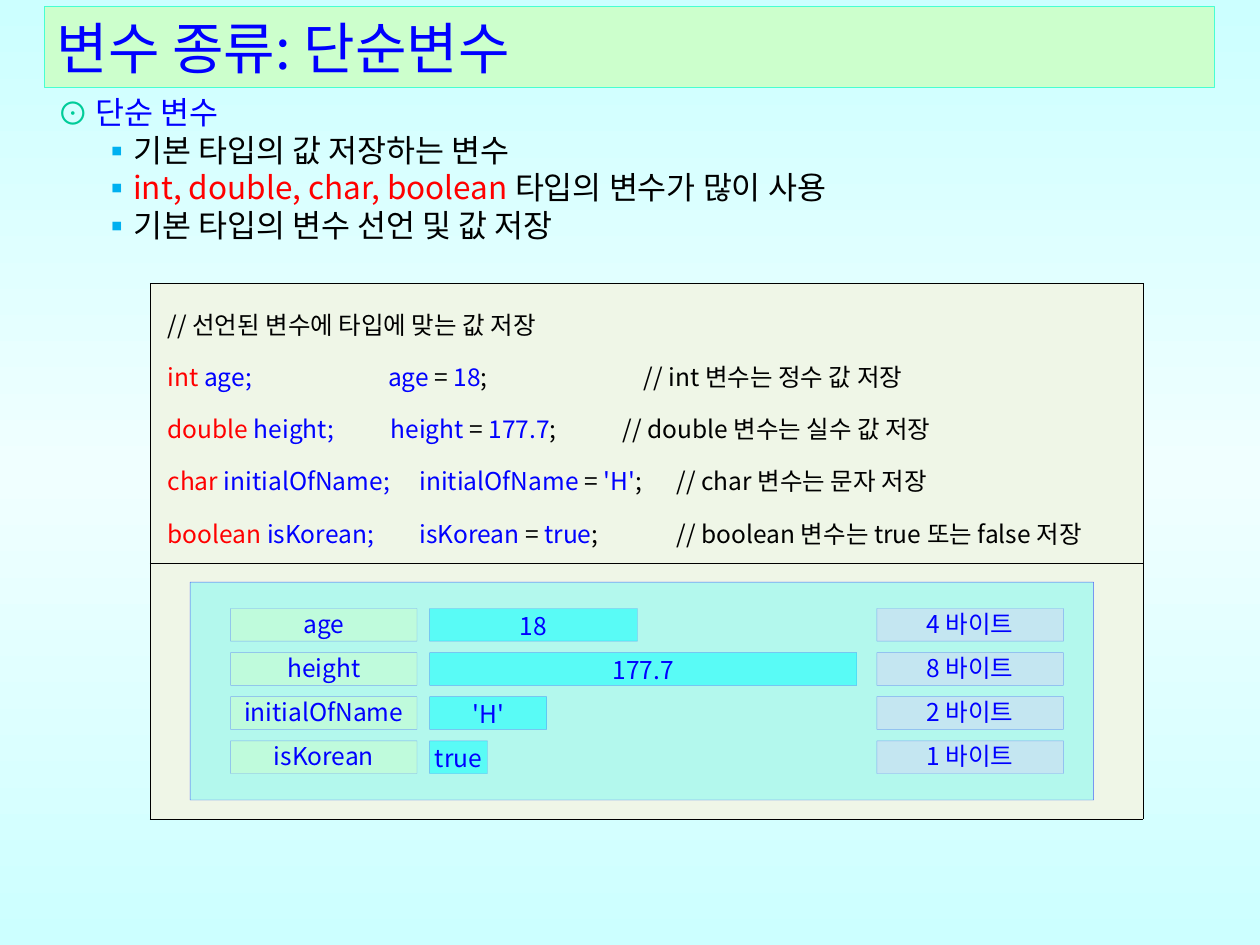
from copy import deepcopy
from dataclasses import dataclass

from lxml.etree import SubElement
from pptx import Presentation
from pptx.dml.color import RGBColor
from pptx.enum.shapes import MSO_SHAPE as Shape
from pptx.enum.text import MSO_ANCHOR as Anchor, PP_ALIGN as Align
from pptx.oxml.ns import qn
from pptx.util import Inches, Pt

FONT = "Noto Sans CJK KR"
COLORS = {
    "blue": "0000FF", "black": "000000", "red": "FF0000", "green": "00CC99",
    "sky": "00B0F0", "title": "CCFFCC", "title_line": "47FFD1", "cyan": "00FFFF",
    "lavender": "D6D6F5", "code": "EFF6E7", "edge": "CCFFFF", "middle": "F0FFFF",
}


@dataclass
class Bullet:
    char: str
    color: str
    indent: float
    hanging: float
    phrases: list


@dataclass
class Variable:
    kind: str
    name: str
    value: str
    comment: str
    tabs: tuple
    memory_width: float
    size: str


BULLETS = [
    Bullet("⊙", "green", 0.3, 0.3, [("단순 변수", "blue")]),
    Bullet("▪", "sky", 0.6, 0.25, [("기본 타입의 값 저장하는 변수", "black")]),
    Bullet("▪", "sky", 0.6, 0.25, [("int, double, char, boolean ", "red"),
                                   ("타입의 변수가 많이 사용", "black")]),
    Bullet("▪", "sky", 0.6, 0.25, [("기본 타입의 변수 선언 및 값 저장", "black")]),
]
VARIABLES = [
    Variable("int", "age", "18", "// int 변수는 정수 값 저장", (1.75, 3.78), 1.65, "4 바이트"),
    Variable("double", "height", "177.7", "// double 변수는 실수 값 저장",
             (1.77, 3.61), 3.39, "8 바이트"),
    Variable("char", "initialOfName", "'H'", "// char 변수는 문자 저장",
             (2, 4.04), 0.93, "2 바이트"),
    Variable("boolean", "isKorean", "true", "// boolean 변수는 true 또는 false 저장",
             (2, 4.04), 0.46, "1 바이트"),
]


def rgb(color: str) -> RGBColor:
    return RGBColor.from_string(COLORS[color])


def write(paragraph, text: str, *, size: float = 14, color: str = "blue") -> None:
    run = paragraph.add_run()
    run.text = text
    run.font.size = Pt(size)
    run.font.name = FONT
    run.font.color.rgb = rgb(color)
    SubElement(run.font._element, qn("a:ea"), typeface=FONT)


def set_margins(frame, left: float, top: float, right: float, bottom: float) -> None:
    frame.margin_left, frame.margin_top = Inches(left), Inches(top)
    frame.margin_right, frame.margin_bottom = Inches(right), Inches(bottom)


def set_alpha(solid_fill, percent: int) -> None:
    SubElement(solid_fill[0], qn("a:alpha"), val=str(percent * 1000))


def add_box(slide, left: float, top: float, width: float, height: float, fill: str,
            line: str = "blue", fill_alpha: int = 100, line_alpha: int = 100):
    box = slide.shapes.add_shape(Shape.RECTANGLE, Inches(left), Inches(top),
                                 Inches(width), Inches(height))
    box.shadow.inherit = False
    box.fill.solid()
    box.fill.fore_color.rgb = rgb(fill)
    box.line.color.rgb = rgb(line)
    box.line.width = Pt(0.25)
    properties = box.element.spPr
    set_alpha(properties.find(qn("a:solidFill")), fill_alpha)
    set_alpha(properties.find(qn("a:ln")).find(qn("a:solidFill")), line_alpha)
    return box


def add_label(slide, text: str, left: float, top: float, width: float, fill: str,
              inset: float = 0) -> None:
    frame = add_box(slide, left, top, width, 0.26, fill, fill_alpha=50, line_alpha=30).text_frame
    frame.word_wrap = True
    frame.vertical_anchor = Anchor.TOP
    set_margins(frame, 0, inset, 0, 0)
    frame.paragraphs[0].alignment = Align.CENTER
    write(frame.paragraphs[0], text)


def paint_background(slide) -> None:
    fill = slide.background.fill
    fill.gradient()
    fill.gradient_angle = 90
    stops = slide.element.find(".//" + qn("a:gsLst"))
    stops.insert(1, deepcopy(stops[0]))
    for stop, position, color in zip(fill.gradient_stops, (0, 0.5, 1), ("edge", "middle", "edge")):
        stop.position = position
        stop.color.rgb = rgb(color)


def add_title(slide) -> None:
    frame = add_box(slide, 0.35, 0.05, 9.29, 0.64, "title", "title_line").text_frame
    frame.word_wrap = True
    frame.vertical_anchor = Anchor.MIDDLE
    frame.paragraphs[0].alignment = Align.LEFT
    write(frame.paragraphs[0], "변수 종류: 단순변수", size=32)


def add_bullets(slide) -> None:
    frame = slide.shapes.add_textbox(Inches(0.36), Inches(0.69), Inches(9.53), Inches(1.36)).text_frame
    frame.word_wrap = True
    for index, bullet in enumerate(BULLETS):
        paragraph = frame.add_paragraph() if index else frame.paragraphs[0]
        paragraph.line_spacing = Pt(21.5)
        properties = paragraph._p.get_or_add_pPr()
        properties.set("marL", str(Inches(bullet.indent)))
        properties.set("indent", str(-Inches(bullet.hanging)))
        SubElement(SubElement(properties, qn("a:buClr")), qn("a:srgbClr"), val=COLORS[bullet.color])
        SubElement(properties, qn("a:buFont"), typeface=FONT)
        SubElement(properties, qn("a:buChar"), char=bullet.char)
        for text, color in bullet.phrases:
            write(paragraph, text, size=18, color=color)


def style_cell(cell) -> None:
    properties = cell._tc.get_or_add_tcPr()
    for side in ("a:lnL", "a:lnR", "a:lnT", "a:lnB"):
        border = SubElement(properties, qn(side), w=str(Pt(0.28)))
        SubElement(SubElement(border, qn("a:solidFill")), qn("a:srgbClr"), val=COLORS["black"])
    cell.fill.solid()
    cell.fill.fore_color.rgb = rgb("code")


def write_code(frame) -> None:
    write(frame.paragraphs[0], "// 선언된 변수에 타입에 맞는 값 저장", color="black")
    for variable in VARIABLES:
        paragraph = frame.add_paragraph()
        stops = SubElement(paragraph._p.get_or_add_pPr(), qn("a:tabLst"))
        for position in variable.tabs:
            SubElement(stops, qn("a:tab"), pos=str(Inches(position)), algn="l")
        write(paragraph, variable.kind + " ", color="red")
        write(paragraph, variable.name + ";")
        write(paragraph, "\t", size=16)
        write(paragraph, variable.name + " ")
        write(paragraph, "= ", color="black")
        write(paragraph, variable.value)
        write(paragraph, ";", color="black")
        write(paragraph, "\t", size=16)
        write(paragraph, variable.comment, color="black")
    for paragraph in frame.paragraphs:
        paragraph.alignment = Align.JUSTIFY
        paragraph.line_spacing = 1.3


def add_code_table(slide) -> None:
    table = slide.shapes.add_table(2, 1, Inches(1.19), Inches(2.25), Inches(7.88), Inches(4.25)).table
    table.first_row = table.horz_banding = False
    for row, height in zip(table.rows, (2.22, 2.03)):
        row.height = Inches(height)
        style_cell(row.cells[0])
    code = table.cell(0, 0)
    code.vertical_anchor = Anchor.MIDDLE
    set_margins(code, 0.14, 0.02, 0.07, 0.02)
    write_code(code.text_frame)


def add_memory(slide) -> None:
    add_box(slide, 1.51, 4.62, 7.17, 1.73, "cyan", fill_alpha=25, line_alpha=60)
    for index, variable in enumerate(VARIABLES):
        top = 4.83 + 0.35 * index
        add_label(slide, variable.name, 1.83, top, 1.48, "title")
        add_label(slide, variable.value, 3.41, top, variable.memory_width, "cyan", inset=0.02)
        add_label(slide, variable.size, 6.96, top, 1.48, "lavender")


def main() -> None:
    deck = Presentation()
    deck.slide_width, deck.slide_height = Inches(10), Inches(7.5)
    slide = deck.slides.add_slide(deck.slide_layouts[6])
    paint_background(slide)
    add_title(slide)
    add_bullets(slide)
    add_code_table(slide)
    add_memory(slide)
    deck.save("out.pptx")


if __name__ == "__main__":
    main()
